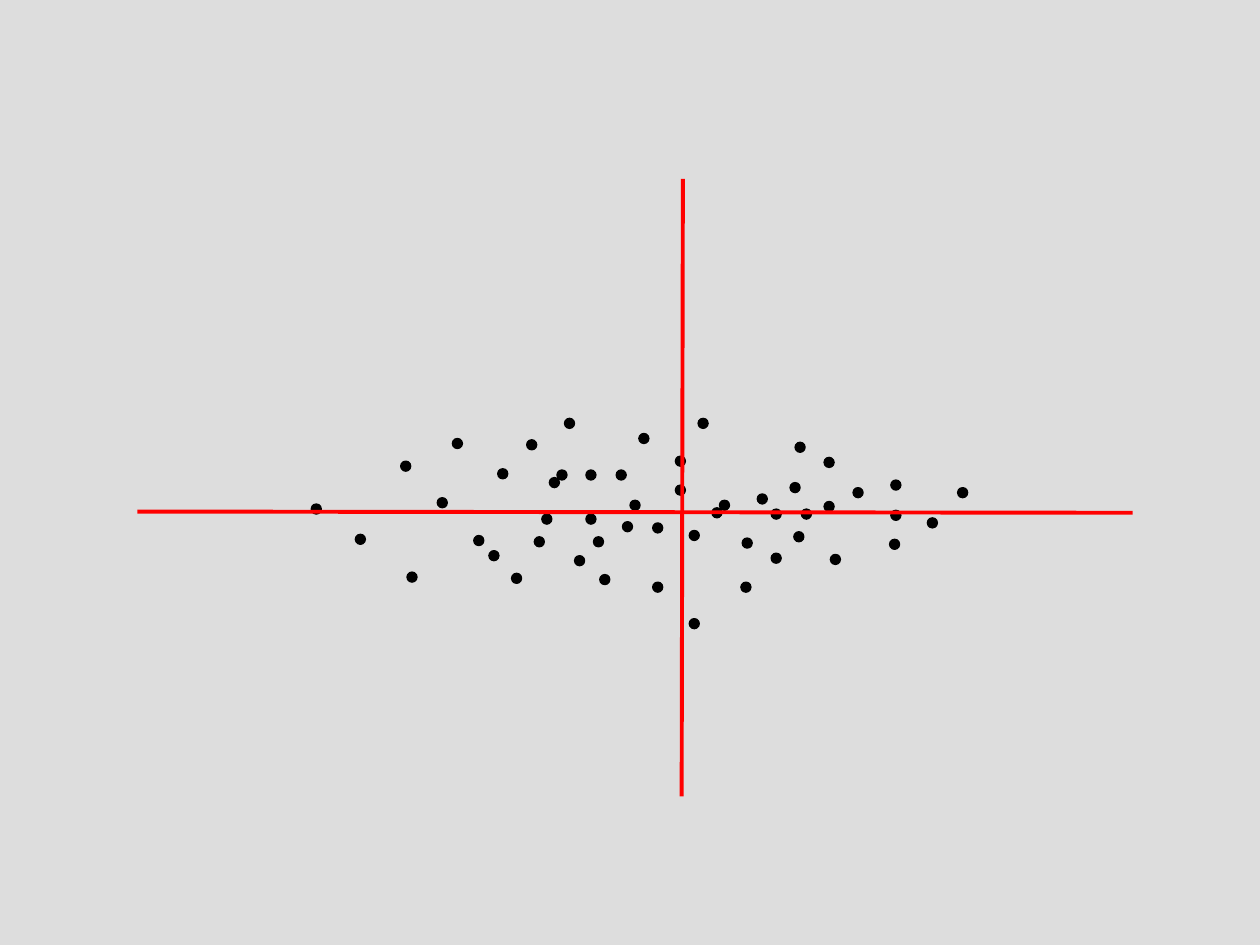
import pptx
import pptx.dml.color
import pptx.enum.shapes
import pptx.oxml.ns
import pptx.util
from lxml import etree

Inches = pptx.util.Inches
Pt = pptx.util.Pt

COLORS = {"background": "DDDDDD", "dot": "000000", "axis": "FF0000"}
DOT_SIZE = 0.08
DOTS = [
    (4.60, 0.49), (4.89, 0.79), (4.59, 0.96), (4.12, 1.08), (2.01, 0.00),
    (3.83, 0.90), (3.65, 1.07), (3.42, 0.95), (3.00, 1.59), (3.41, 1.30),
    (2.71, 1.30), (2.47, 0.82), (2.24, 0.94), (2.09, 1.09), (1.77, 0.94),
    (2.29, 1.24), (1.29, 0.93), (0.76, 1.22), (5.13, 0.55), (4.60, 0.73),
    (4.30, 0.55), (4.07, 0.66), (3.89, 0.72), (3.65, 0.72), (3.54, 0.60),
    (3.18, 0.71), (3.00, 0.89), (2.71, 0.83), (2.53, 0.65), (2.18, 0.76),
    (1.83, 0.76), (1.89, 0.47), (1.41, 1.05), (1.00, 0.63), (1.59, 1.23),
    (4.07, 0.31), (3.84, 0.19), (3.24, 0.65), (3.80, 0.51), (2.89, 0.53),
    (2.89, 0.30), (2.60, 0.12), (2.42, 0.41), (2.18, 0.41), (1.95, 0.41),
    (0.71, 0.34), (1.48, 0.40), (3.07, 0.00), (1.71, 0.17), (1.12, 0.16),
    (0.35, 0.92), (0.00, 0.68),
]


def rgb(name):
    return pptx.dml.color.RGBColor.from_string(COLORS[name])


def add_dots(s, left, top):
    group = s.shapes.add_group_shape()
    for x, y in DOTS:
        sp = group.shapes.add_shape(
            pptx.enum.shapes.MSO_SHAPE.OVAL,
            Inches(left + x), Inches(top + y), Inches(DOT_SIZE), Inches(DOT_SIZE))
        sp.shadow.inherit = False
        sp.fill.solid()
        sp.fill.fore_color.rgb = rgb("dot")
        sp.line.color.rgb = rgb("dot")
        sp.line.width = Pt(0.75)


def add_axes(s, left, top, width, height):
    tilt = 0.01
    cross_x, cross_y = left + 4.32, top + 2.64
    ends = [
        (left, cross_y, left + width, cross_y + tilt),
        (cross_x, top + height, cross_x + tilt, top),
    ]
    for points in ends:
        axis = s.shapes.add_connector(
            pptx.enum.shapes.MSO_CONNECTOR.STRAIGHT, *map(Inches, points))
        axis.line.color.rgb = rgb("axis")
        axis.line.width = Pt(2.25)
        sp_pr = axis._element.spPr
        etree.SubElement(sp_pr, pptx.oxml.ns.qn("a:effectLst"))


def main():
    prs = pptx.Presentation()
    prs.slide_width = Inches(10)
    prs.slide_height = Inches(7.5)
    s = prs.slides.add_slide(prs.slide_layouts[6])
    s.background.fill.solid()
    s.background.fill.fore_color.rgb = rgb("background")
    add_dots(s, 2.47, 3.32)
    add_axes(s, 1.09, 1.42, 7.9, 4.9)
    prs.save("out.pptx")


if __name__ == "__main__":
    main()
